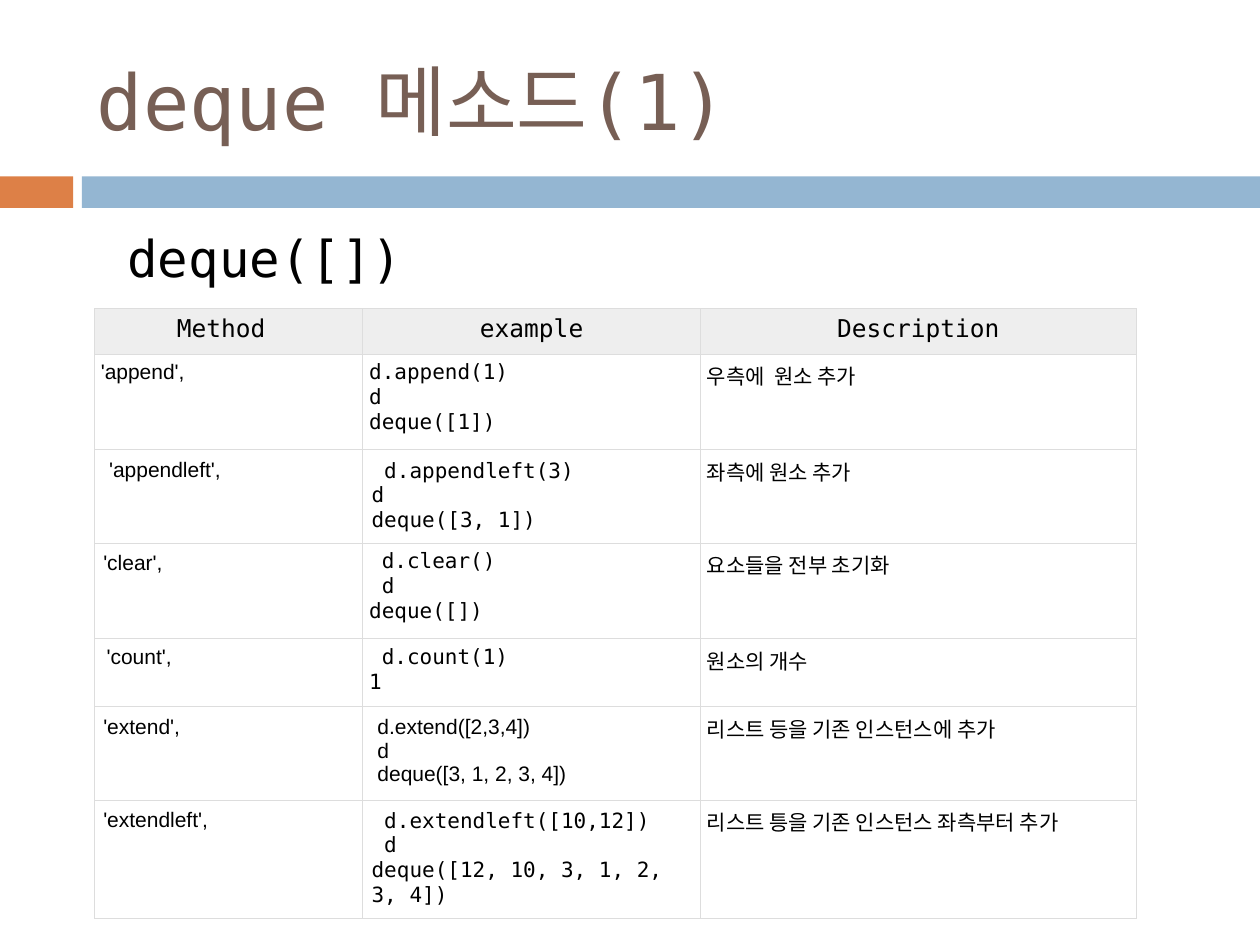
from lxml import etree
from pptx import Presentation
from pptx import util as u
from pptx.dml.color import RGBColor
from pptx.enum import shapes, text
from pptx.oxml import ns

COLORS = {"orange": "DD8047", "blue": "94B6D2", "title": "775F55",
          "black": "000000", "header": "EEEEEE", "white": "FFFFFF",
          "border": "DDDDDD"}
MONO, SANS = "DejaVu Sans Mono", "Arial"
BARS = [(0, 0.58, "orange"), (0.65, 9.35, "blue")]
HEADINGS = [
    ("deque 메소드(1)", (0.67, 0.25, 8.92, 1.08), 44, "title", 0, text.MSO_ANCHOR.MIDDLE),
    (" deque([])", (0.67, 1.75, 8.92, 0.65), 29, "black", 7, text.MSO_ANCHOR.TOP),
]
HEADER = ["Method ", "example", "Description"]
METHODS = [
    ("'append',", "d.append(1)\nd\ndeque([1])", "우측에  원소 추가"),
    (" 'appendleft',", " d.appendleft(3)\nd\ndeque([3, 1])", "좌측에 원소 추가"),
    ("'clear',", " d.clear()\n d\ndeque([])", "요소들을 전부 초기화"),
    (" 'count',", " d.count(1)\n1", "원소의 개수"),
    ("'extend',", " d.extend([2,3,4])\n d\n deque([3, 1, 2, 3, 4])",
     "리스트 등을 기존 인스턴스에 추가"),
    ("'extendleft',", " d.extendleft([10,12])\n d\ndeque([12, 10, 3, 1, 2, 3, 4])",
     "리스트 틍을 기존 인스턴스 좌측부터 추가"),
]
COLUMNS = [2.13, 2.68, 3.46]
ROWS = [0.36, 0.76, 0.72, 0.76, 0.54, 0.69, 0.92]
WIDE_INSETS = {(2, 0), (2, 1), (3, 0), (5, 0), (5, 1), (6, 0), (6, 1)}
SANS_EXAMPLE = (5, 1)


def rgb(name):
    return RGBColor.from_string(COLORS[name])


def set_font(p, name, size, color="black"):
    p.font.name, p.font.size = name, u.Pt(size)
    p.font.color.rgb = rgb(color)


def add_borders(cell):
    tc_pr = cell._tc.get_or_add_tcPr()
    for i, side in enumerate(("lnL", "lnR", "lnT", "lnB")):
        ln = etree.Element(ns.qn(f"a:{side}"), w=str(u.Pt(0.6)))
        fill = etree.SubElement(ln, ns.qn("a:solidFill"))
        etree.SubElement(fill, ns.qn("a:srgbClr"), val=COLORS["border"])
        tc_pr.insert(i, ln)


def fill_cell(cell, row, col, content):
    inset = u.Inches(0.07 if (row, col) in WIDE_INSETS else 0.05)
    cell.margin_left = cell.margin_right = inset
    cell.margin_top = cell.margin_bottom = inset
    cell.fill.solid()
    cell.fill.fore_color.rgb = rgb("white" if row else "header")
    cell.text = content
    sans = row and (col == 0 or (row, col) == SANS_EXAMPLE)
    for p in cell.text_frame.paragraphs:
        set_font(p, SANS if sans else MONO, 12 if row else 14)
        p.font.bold = False
        p.alignment = text.PP_ALIGN.LEFT if row else text.PP_ALIGN.CENTER
    add_borders(cell)


def main():
    prs = Presentation()
    prs.slide_width, prs.slide_height = u.Inches(10), u.Inches(7.5)
    s = prs.slides.add_slide(prs.slide_layouts[6])

    for left, width, color in BARS:
        sp = s.shapes.add_shape(shapes.MSO_SHAPE.RECTANGLE, u.Inches(left),
                                u.Inches(1.4), u.Inches(width), u.Inches(0.25))
        sp.shadow.inherit = False
        sp.fill.solid()
        sp.fill.fore_color.rgb = rgb(color)
        sp.line.fill.background()

    for content, box, size, color, before, anchor in HEADINGS:
        tf = s.shapes.add_textbox(*map(u.Inches, box)).text_frame
        tf.word_wrap, tf.vertical_anchor = True, anchor
        p = tf.paragraphs[0]
        p.text, p.space_before = content, u.Pt(before)
        set_font(p, MONO, size, color)

    table = s.shapes.add_table(len(ROWS), len(COLUMNS), u.Inches(0.75), u.Inches(2.45),
                               u.Inches(sum(COLUMNS)), u.Inches(sum(ROWS))).table
    for column, width in zip(table.columns, COLUMNS):
        column.width = u.Inches(width)
    for row, height in zip(table.rows, ROWS):
        row.height = u.Inches(height)
    for i, values in enumerate([HEADER, *METHODS]):
        for j, content in enumerate(values):
            fill_cell(table.cell(i, j), i, j, content)

    prs.save("out.pptx")


if __name__ == "__main__":
    main()
